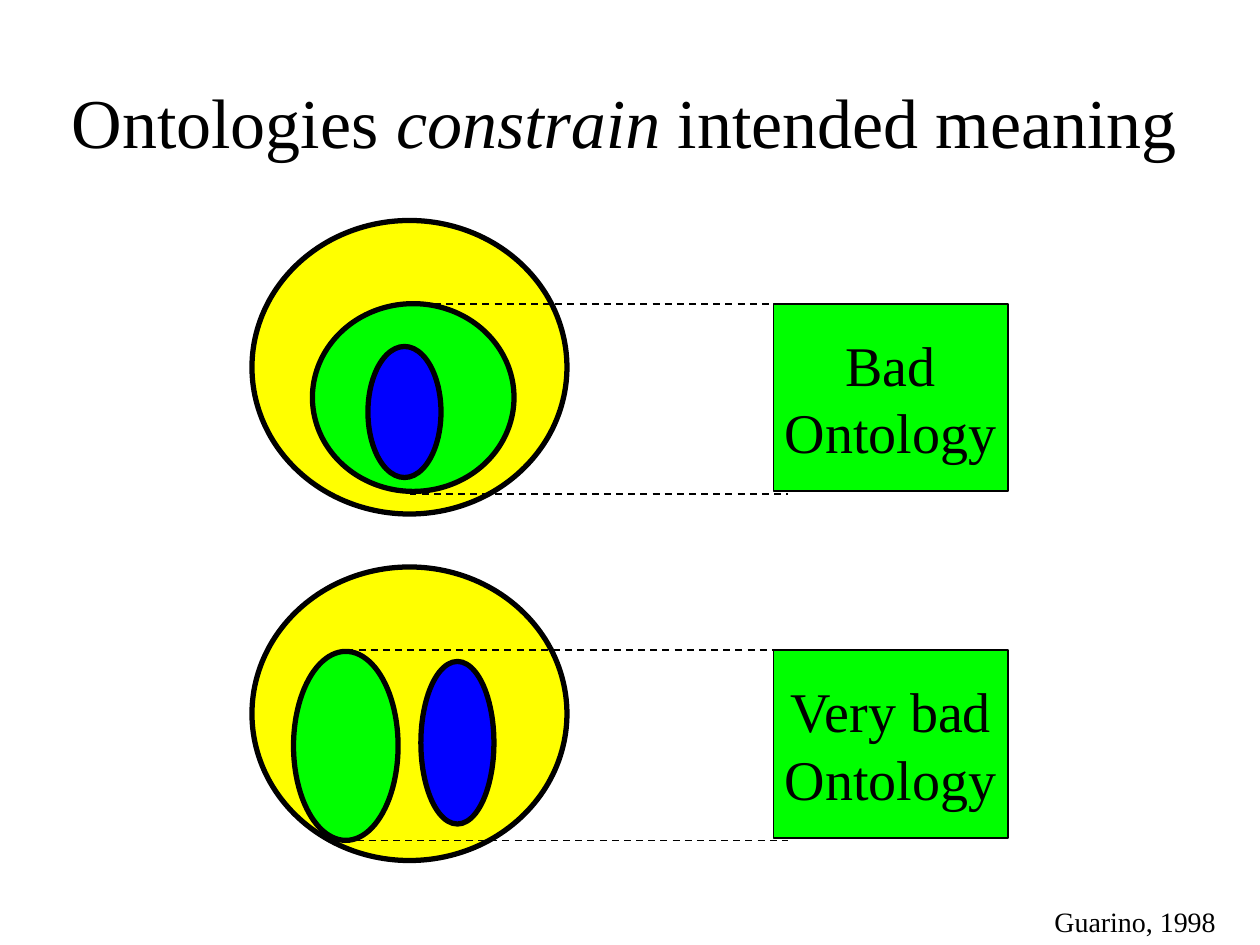
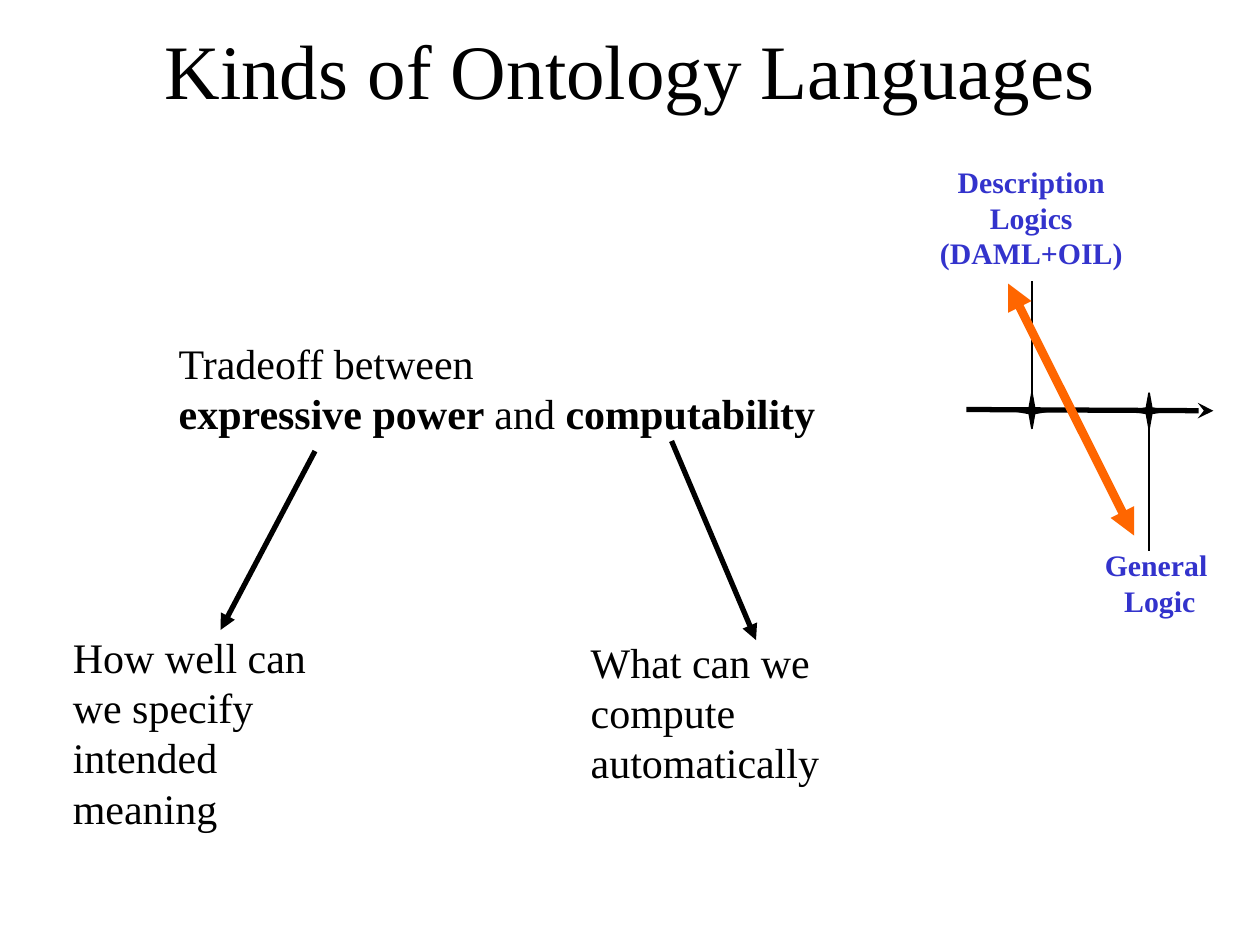
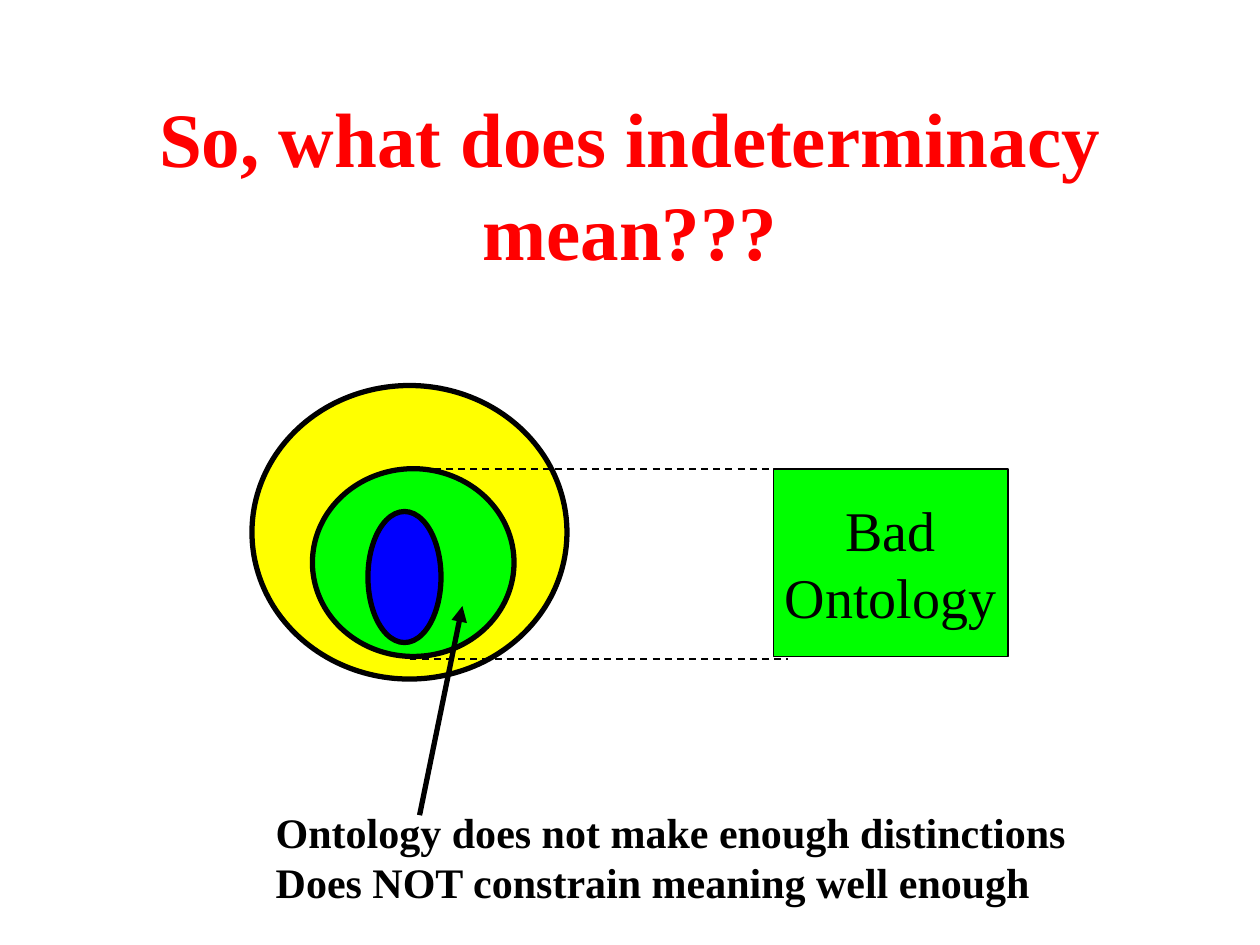
from math import cos, pi, sin

from lxml.etree import SubElement
from pptx import Presentation
from pptx.dml.color import RGBColor
from pptx.enum.dml import MSO_LINE
from pptx.enum.shapes import MSO_CONNECTOR, MSO_SHAPE
from pptx.enum.text import MSO_ANCHOR, MSO_AUTO_SIZE, PP_ALIGN
from pptx.oxml.ns import qn
from pptx.util import Inches, Pt

FONT = "Times New Roman"
BLACK = "000000"
YELLOW = "FFFF00"
GREEN = "00FF00"
BLUE = "0000FF"
RED = "FF0000"
ORANGE = "FF6600"
INDIGO = "3333CC"
BOLD = {"bold": True}


def rgb(value):
    return RGBColor.from_string(value)


def write(tf, paragraphs, size=24, color=BLACK, bold=False, align=PP_ALIGN.LEFT,
          anchor=MSO_ANCHOR.TOP, wrap=False, fit=MSO_AUTO_SIZE.NONE, side=0.1):
    tf.word_wrap = wrap
    tf.auto_size = fit
    tf.vertical_anchor = anchor
    tf.margin_left = tf.margin_right = Inches(side)
    tf.margin_top = tf.margin_bottom = Inches(0.05)
    for i, runs in enumerate(paragraphs):
        p = tf.add_paragraph() if i else tf.paragraphs[0]
        p.alignment = align
        p.space_before = Pt(0)
        for text, style in [(runs, {})] if isinstance(runs, str) else runs:
            r = p.add_run()
            r.text = text
            r.font.name = FONT
            r.font.size = Pt(size)
            r.font.color.rgb = rgb(color)
            r.font.bold = style.get("bold", bold)
            r.font.italic = style.get("italic", False)


class Deck:
    def __init__(self):
        self.prs = Presentation()
        self.prs.slide_width = Inches(10)
        self.prs.slide_height = Inches(7.5)
        self.slide = None

    def new_slide(self, title, top, left=0.75, width=8.5, size=44, **style):
        self.slide = self.prs.slides.add_slide(self.prs.slide_layouts[5])
        sp = self.slide.shapes.title
        sp.left, sp.top = Inches(left), Inches(top)
        sp.width, sp.height = Inches(width), Inches(1.25)
        write(sp.text_frame, [title], size=size, align=PP_ALIGN.CENTER,
              anchor=MSO_ANCHOR.MIDDLE, wrap=True, **style)

    def text(self, paragraphs, left, top, width, height, **style):
        sp = self.slide.shapes.add_textbox(*map(Inches, (left, top, width, height)))
        write(sp.text_frame, paragraphs, fit=MSO_AUTO_SIZE.SHAPE_TO_FIT_TEXT, **style)

    def paint(self, sp, fill, weight):
        sp.shadow.inherit = False
        sp.fill.solid()
        sp.fill.fore_color.rgb = rgb(fill)
        sp.line.color.rgb = rgb(BLACK)
        sp.line.width = Pt(weight)

    def shape(self, kind, box, fill, weight):
        sp = self.slide.shapes.add_shape(kind, *map(Inches, box))
        self.paint(sp, fill, weight)
        return sp

    def line(self, start, end, weight=1, color=BLACK, dash=None, head=None, tail=None):
        sp = self.slide.shapes.add_connector(
            MSO_CONNECTOR.STRAIGHT, *map(Inches, (*start, *end)))
        sp.line.color.rgb = rgb(color)
        sp.line.width = Pt(weight)
        if dash:
            sp.line.dash_style = dash
        ln = sp.line._get_or_add_ln()
        for tag, arrow in (("a:headEnd", head), ("a:tailEnd", tail)):
            if arrow:
                SubElement(ln, qn(tag)).set("type", arrow)
        SubElement(sp._element.spPr, qn("a:effectLst"))

    def star(self, x, y, outer=0.14, inner=0.03):
        points = []
        for i in range(8):
            radius = inner if i % 2 else outer
            angle = i * pi / 4
            points.append((Inches(x + radius * cos(angle)), Inches(y + radius * sin(angle))))
        builder = self.slide.shapes.build_freeform(*points[0])
        builder.add_line_segments(points[1:], close=True)
        self.paint(builder.convert_to_shape(), BLACK, 1)

    def ontology(self, top, label, covered, intended, dash_starts):
        models = (2, 0, 2.5, 2.33)
        for (x, y, w, h), fill in ((models, YELLOW), (covered, GREEN), (intended, BLUE)):
            self.shape(MSO_SHAPE.OVAL, (x, top + y, w, h), fill, 3)
        for x, y in zip(dash_starts, (0.66, 2.17)):
            self.line((x, top + y), (6.25, top + y), dash=MSO_LINE.DASH)
        sp = self.shape(MSO_SHAPE.RECTANGLE, (6.14, top + 0.66, 1.86, 1.49), GREEN, 1)
        write(sp.text_frame, [label, "Ontology"], size=32, align=PP_ALIGN.CENTER,
              anchor=MSO_ANCHOR.MIDDLE)

    def bad_ontology(self, top):
        self.ontology(top, "Bad", (2.48, 0.66, 1.6, 1.49), (2.92, 1, 0.58, 1.04),
                      (3.25, 3.25))

    def very_bad_ontology(self, top):
        self.ontology(top, "Very bad", (2.33, 0.67, 0.83, 1.5), (3.34, 0.75, 0.58, 1.29),
                      (2.75, 2.83))


def constrain_slide(deck):
    deck.new_slide([("Ontologies ", {}), ("constrain", {"italic": True}),
                    (" intended meaning", {})], 0.33, left=0.08, width=9.75, size=40)
    deck.bad_ontology(1.75)
    deck.very_bad_ontology(4.5)
    deck.text(["Guarino, 1998"], 8.27, 7.13, 1.48, 0.37, size=16)


def languages_slide(deck):
    deck.new_slide("Kinds of Ontology Languages", -0.08)
    axis_y = 3.26
    deck.line((7.67, 3.25), (9.63, axis_y), weight=3, tail="stealth")
    logic = dict(size=17, color=INDIGO, bold=True, align=PP_ALIGN.CENTER,
                 wrap=True, side=0.11)
    deck.text(["General ", "Logic"], 8.58, 4.29, 1.25, 0.68, **logic)
    deck.text(["Description Logics", "(DAML+OIL)"], 7.31, 1.25, 1.75, 0.96, **logic)
    for x, start, end in ((8.19, 3.21, 2.23), (9.12, 4.37, 3.3)):
        deck.star(x, axis_y)
        deck.line((x, start), (x, end))
    deck.text(["Tradeoff between",
               [("expressive power ", BOLD), ("and ", {}), ("computability", BOLD)]],
              1.32, 2.63, 5.26, 0.9)
    deck.line((8, 2.25), (9, 4.25), weight=5, color=ORANGE,
              head="triangle", tail="triangle")
    deck.text(["How well can", "we specify intended", "meaning"], 0.48, 4.96, 2.86, 1.3)
    deck.text(["What can we", "compute automatically"], 4.59, 5, 3.24, 0.9)
    for start, end in (((2.5, 3.58), (1.75, 5)), ((5.33, 3.5), (6, 5.08))):
        deck.line(start, end, weight=3, tail="triangle")


def indeterminacy_slide(deck):
    deck.new_slide("So, what does indeterminacy mean???", 0.83, color=RED, bold=True)
    deck.bad_ontology(3.06)
    deck.text(["Ontology does not make enough distinctions",
               "Does NOT constrain meaning well enough"],
              2.09, 6.35, 6.47, 0.9, bold=True)
    deck.line((3.33, 6.47), (3.67, 4.81), weight=3, tail="triangle")


def main():
    deck = Deck()
    constrain_slide(deck)
    languages_slide(deck)
    indeterminacy_slide(deck)
    deck.prs.save("out.pptx")


if __name__ == "__main__":
    main()
